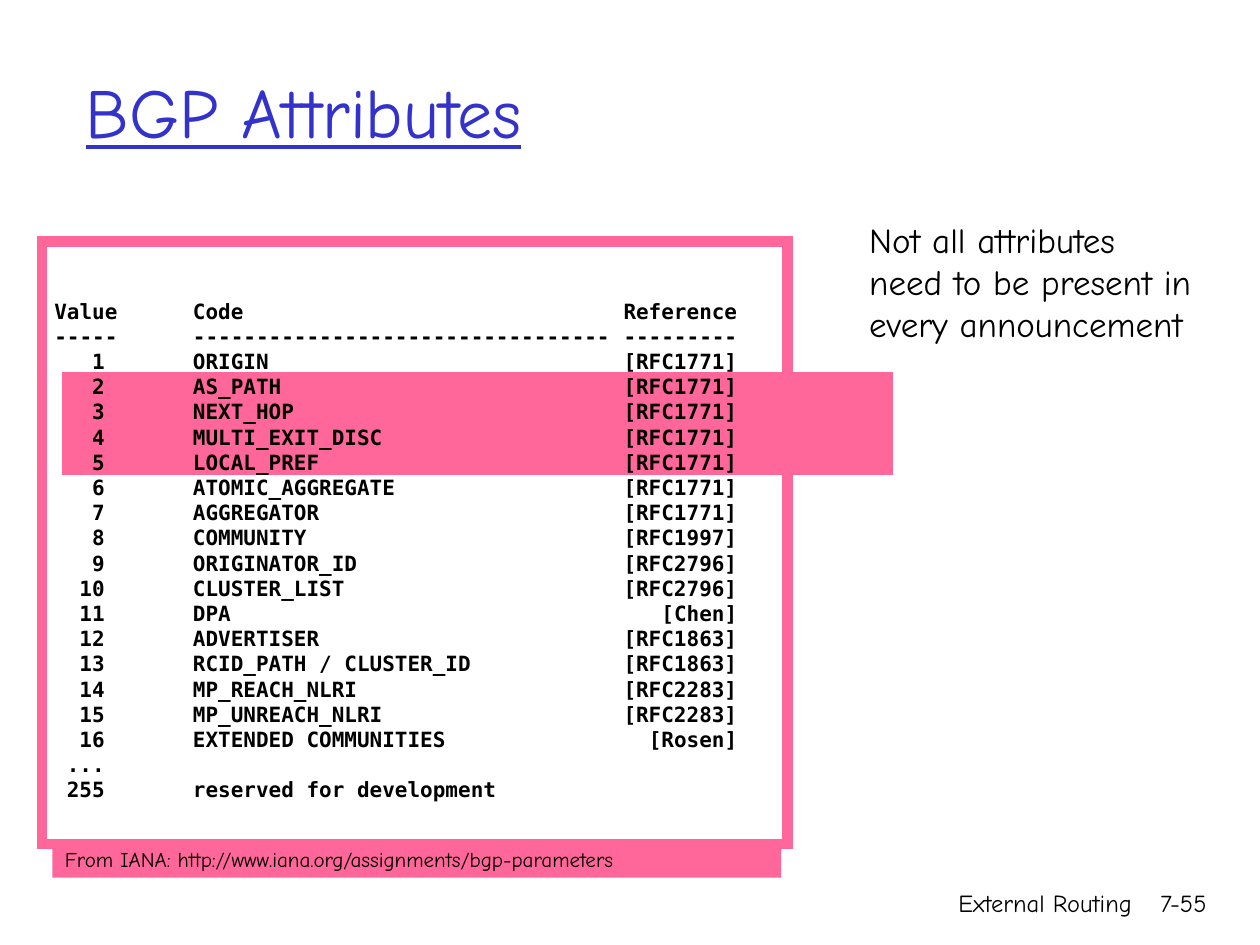
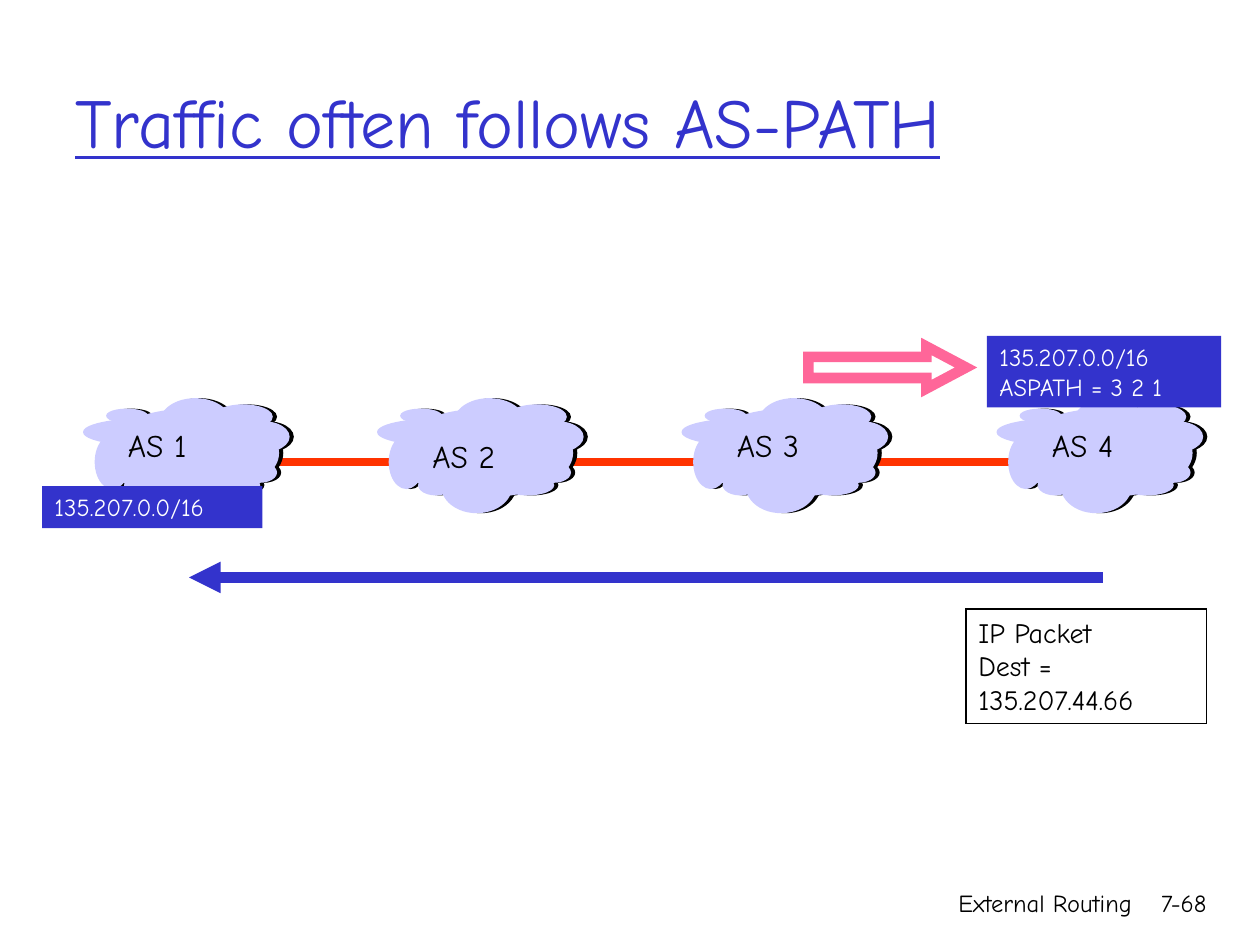
from lxml.etree import SubElement
from pptx import Presentation
from pptx.dml.color import RGBColor
from pptx.enum.shapes import MSO_CONNECTOR, MSO_SHAPE
from pptx.enum.text import MSO_ANCHOR, PP_ALIGN
from pptx.oxml.ns import qn
from pptx.util import Inches, Pt

# The slide is a grid of 120 columns by 90 rows of square cells.
COLUMNS, ROWS = 120, 90
CELL = Inches(10) / COLUMNS

BLUE, PINK, RED = "3333CC", "FF6699", "FF3300"
LAVENDER, BLACK, WHITE = "CCCCFF", "000000", "FFFFFF"
HAND, MONO = "Comic Neue", "DejaVu Sans Mono"

ATTRIBUTES = [
    ("1", "ORIGIN", "[RFC1771]"),
    ("2", "AS_PATH", "[RFC1771]"),
    ("3", "NEXT_HOP", "[RFC1771]"),
    ("4", "MULTI_EXIT_DISC", "[RFC1771]"),
    ("5", "LOCAL_PREF", "[RFC1771]"),
    ("6", "ATOMIC_AGGREGATE", "[RFC1771]"),
    ("7", "AGGREGATOR", "[RFC1771]"),
    ("8", "COMMUNITY", "[RFC1997]"),
    ("9", "ORIGINATOR_ID", "[RFC2796]"),
    ("10", "CLUSTER_LIST", "[RFC2796]"),
    ("11", "DPA", "[Chen]"),
    ("12", "ADVERTISER", "[RFC1863]"),
    ("13", "RCID_PATH / CLUSTER_ID", "[RFC1863]"),
    ("14", "MP_REACH_NLRI", "[RFC2283]"),
    ("15", "MP_UNREACH_NLRI", "[RFC2283]"),
    ("16", "EXTENDED COMMUNITIES", "[Rosen]"),
    ("...",),
    ("255", "reserved for development"),
]
# Ends of the value column, start of the code column, end of the references.
LISTING_TABS = [(0.4, "r"), (1.1, "l"), (5.42, "r")]

# Ellipses of a cloud, in cells from its top left corner.
CLOUD_LOBES = [
    (1.7, 1, 16.8, 8.3), (2.2, 1, 3.8, 1.2), (12.4, 0.6, 5.5, 2.2),
    (7.3, 0, 6.6, 4.4), (0, 1.9, 12.2, 2.5), (6.1, 5.8, 6.6, 5),
    (14.6, 2.2, 4.9, 2.8), (1.1, 3.5, 3.2, 5), (15.1, 6.1, 3.2, 1.8),
    (3.9, 7.3, 3.2, 1.8), (11.8, 7.3, 4.9, 1.8),
]
CLOUD_TOP = 38
CLOUD_SHADE = 0.4


def color(hex_code):
    return RGBColor.from_string(hex_code)


def cells(*counts):
    return [round(count * CELL) for count in counts]


def add_figure(shapes, kind, area, fill=None, line=None, weight=0.75):
    figure = shapes.add_shape(kind, *cells(*area))
    figure.shadow.inherit = False
    if fill:
        figure.fill.solid()
        figure.fill.fore_color.rgb = color(fill)
    else:
        figure.fill.background()
    if line:
        figure.line.color.rgb = color(line)
        figure.line.width = Pt(weight)
        SubElement(figure.line._ln, qn("a:miter"), lim="800000")
    else:
        figure.line.fill.background()
    return figure


def set_tabs(paragraph, tabs):
    tab_list = SubElement(paragraph._p.get_or_add_pPr(), qn("a:tabLst"))
    for position, side in tabs:
        SubElement(tab_list, qn("a:tab"), pos=str(Inches(position)), algn=side)


def write(holder, lines, size, ink=BLACK, font=HAND, bold=False,
          underline=False, align=PP_ALIGN.LEFT, anchor=MSO_ANCHOR.TOP, tabs=()):
    frame = holder.text_frame
    frame.word_wrap = True
    frame.vertical_anchor = anchor
    frame.text = "\n".join(lines)
    for paragraph in frame.paragraphs:
        paragraph.alignment = align
        if tabs:
            set_tabs(paragraph, tabs)
        paragraph.font.name = font
        paragraph.font.size = Pt(size)
        paragraph.font.bold = bold
        paragraph.font.underline = underline
        paragraph.font.color.rgb = color(ink)


def add_text(slide, area, lines, size, **style):
    write(slide.shapes.add_textbox(*cells(*area)), lines, size, **style)


def add_text_block(slide, area, lines, size, fill=None, line=None, ink=BLACK):
    block = add_figure(slide.shapes, MSO_SHAPE.RECTANGLE, area, fill, line)
    write(block, lines, size, ink=ink)


def add_line(slide, start, end, ink, weight, arrow=False):
    line = slide.shapes.add_connector(MSO_CONNECTOR.STRAIGHT, *cells(*start, *end))
    line.line.color.rgb = color(ink)
    line.line.width = Pt(weight)
    if arrow:
        SubElement(line.line._ln, qn("a:tailEnd"), type="triangle")
    SubElement(line._element.spPr, qn("a:effectLst"))


def add_title(slide, area, title):
    add_text(slide, area, [title], 40, ink=BLUE, underline=True,
             anchor=MSO_ANCHOR.MIDDLE)


def add_footer(slide, page):
    add_text(slide, (71, 84, 38, 6), ["External Routing"], 14, align=PP_ALIGN.RIGHT)
    add_text(slide, (107.2, 84, 8.9, 6), [page], 14, align=PP_ALIGN.RIGHT)


def add_attribute_listing(slide):
    listing = add_figure(slide.shapes, MSO_SHAPE.RECTANGLE, (4, 23, 71, 57.4),
                         line=PINK, weight=6)
    listing.text_frame.margin_top = Inches(0.45)
    headings = [("Value", "Code", "Reference"), ("-" * 5, "-" * 33, "-" * 9)]
    lines = ["\t".join(heading) for heading in headings]
    lines += ["\t" + "\t".join(attribute) for attribute in ATTRIBUTES]
    write(listing, lines, 12, font=MONO, bold=True, tabs=LISTING_TABS)


def add_cloud(slide, left):
    """Lay lavender lobes over the same lobes in black, shifted right."""
    cloud = slide.shapes.add_group_shape()
    for shift, ink in ((CLOUD_SHADE, BLACK), (0, LAVENDER)):
        for x, y, width, height in CLOUD_LOBES:
            area = (left + shift + x, CLOUD_TOP + y, width, height)
            add_figure(cloud.shapes, MSO_SHAPE.OVAL, area, ink, ink, 1)


def build_attributes(slide):
    add_figure(slide.shapes, MSO_SHAPE.RECTANGLE, (6, 35.5, 79, 9.7), PINK, PINK)
    add_title(slide, (7, 3, 102, 15), "BGP Attributes")
    add_attribute_listing(slide)
    add_text_block(slide, (5, 80, 69.4, 3.6),
                   ["From IANA: http://www.iana.org/assignments/bgp-parameters"],
                   12, fill=PINK)
    add_text(slide, (81.6, 20.2, 35.9, 13.3),
             ["Not all attributes", "need to be present in", "every announcement"], 20)
    add_footer(slide, "7-55")


def build_as_path(slide):
    add_line(slide, (12, 44), (111, 44), RED, 4.5)
    add_title(slide, (6, 4, 109, 15), "Traffic often follows AS-PATH")

    systems = [("AS 1", 8, (11, 40)), ("AS 2", 36, (40, 41)),
               ("AS 3", 65, (69, 40)), ("AS 4", 95, (99, 40))]
    for system, cloud_left, label_corner in systems:
        add_cloud(slide, cloud_left)
        add_text(slide, (*label_corner, 12.4, 6), [system], 18)

    prefix = "135.207.0.0/16"
    add_text_block(slide, (4, 46.3, 21, 4), [prefix], 14, fill=BLUE, ink=WHITE)
    add_text_block(slide, (94, 32, 22.3, 6.8), [prefix, "ASPATH = 3 2 1"], 14,
                   fill=BLUE, ink=WHITE)

    announcement = add_figure(slide.shapes, MSO_SHAPE.RIGHT_ARROW, (77, 33, 15, 4),
                              line=PINK, weight=6)
    announcement.adjustments[0] = 0.5
    announcement.adjustments[1] = 0.94

    add_line(slide, (105, 55), (18, 55), BLUE, 6, arrow=True)
    add_text_block(slide, (92, 58, 22.9, 10.9),
                   ["IP Packet", "Dest =", "135.207.44.66"], 16, line=BLACK)
    add_footer(slide, "7-68")


def main():
    deck = Presentation()
    deck.slide_width, deck.slide_height = cells(COLUMNS, ROWS)
    blank = deck.slide_layouts[6]
    for build in (build_attributes, build_as_path):
        build(deck.slides.add_slide(blank))
    deck.save("out.pptx")


if __name__ == "__main__":
    main()
